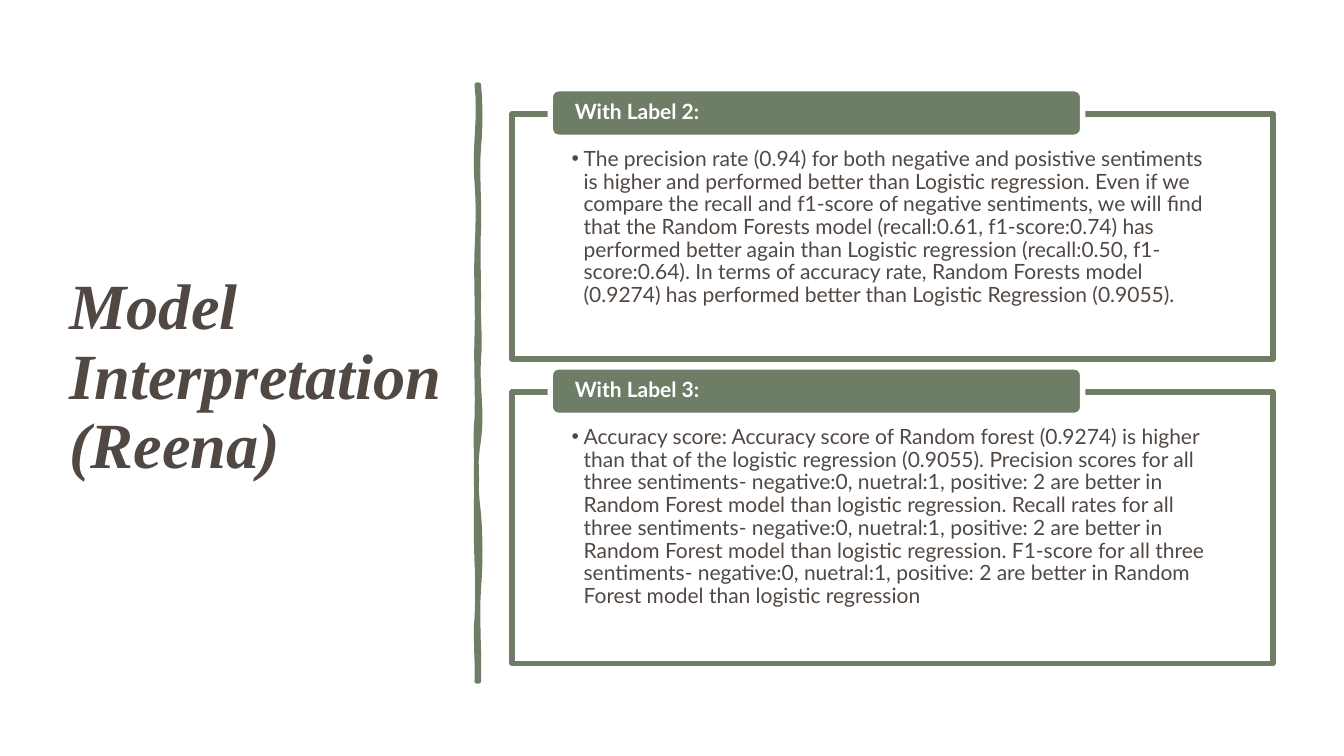
from dataclasses import dataclass
from typing import Iterator

from lxml.etree import SubElement
from pptx import Presentation
from pptx.dml.color import RGBColor
from pptx.enum.shapes import MSO_SHAPE as Shape
from pptx.enum.text import MSO_ANCHOR as Anchor, MSO_AUTO_SIZE as AutoSize, PP_ALIGN as Align
from pptx.oxml.ns import qn
from pptx.util import Pt

GREEN, BROWN, WHITE = "6D7D66", "514843", "FFFFFF"
PANEL_LEFT, PANEL_WIDTH = 365.8, 543.6
LABEL_LEFT, LABEL_WIDTH, LABEL_HEIGHT, LABEL_RISE = 393.1, 380.2, 34.6, 18
BULLET_INDENT = 8.6
BRUSH_TOP, BRUSH_RIGHT, BRUSH_LEFT, CURVE_STEPS = 60.5, 342, 340.6, 8


@dataclass
class Panel:
    label: str
    text: str
    top: float
    height: float


@dataclass
class Bend:
    first: float
    second: float
    end: float


PANELS = [
    Panel(
        "With Label 2:",
        "The precision rate (0.94) for both negative and posistive sentiments is higher and "
        "performed better than Logistic regression. Even if we compare the recall and f1-score "
        "of negative sentiments, we will find that the Random Forests model (recall:0.61, "
        "f1-score:0.74) has performed better again than Logistic regression (recall:0.50, "
        "f1-score:0.64). In terms of accuracy rate, Random Forests model (0.9274) has performed "
        "better than Logistic Regression (0.9055).",
        81.4, 175,
    ),
    Panel(
        "With Label 3:",
        "Accuracy score: Accuracy score of Random forest (0.9274) is higher than that of the "
        "logistic regression (0.9055). Precision scores for all three sentiments- negative:0, "
        "nuetral:1, positive: 2 are better in Random Forest model than logistic regression. "
        "Recall rates for all three sentiments- negative:0, nuetral:1, positive: 2 are better "
        "in Random Forest model than logistic regression. F1-score for all three sentiments- "
        "negative:0, nuetral:1, positive: 2 are better in Random Forest model than logistic "
        "regression",
        280.1, 193.7,
    ),
]

RIGHT_EDGE = [
    Bend(1.4, 1.4, 105), Bend(-1.4, 0.7, 163), Bend(-0.7, 0, 212), Bend(-0.7, 1.4, 256),
    Bend(-1.4, 2.9, 314), Bend(-2.9, -2.2, 367), Bend(1.4, 1.4, 420.5), Bend(-1.4, 0.7, 486.7),
]
LEFT_EDGE = [
    Bend(0.7, -1.4, 441.4), Bend(0.7, 0.7, 401), Bend(-0.7, -0.7, 343.4), Bend(0, -1.4, 298.8),
    Bend(0.7, -0.7, 241.2), Bend(0.7, -0.7, 180), Bend(0.7, 1.4, 130.3), Bend(-2.2, 2.9, 60.5),
]


def color(value: str) -> RGBColor:
    return RGBColor.from_string(value)


def paint(shape, fill: str, line: str, width: float) -> None:
    shape.fill.solid()
    shape.fill.fore_color.rgb = color(fill)
    shape.line.color.rgb = color(line)
    shape.line.width = Pt(width)


def place(shape, left: float, top: float, width: float, height: float) -> None:
    shape.left, shape.top, shape.width, shape.height = map(Pt, (left, top, width, height))


def set_frame(frame, anchor, left: float, top: float, right: float, bottom: float) -> None:
    frame.word_wrap = True
    frame.auto_size = AutoSize.NONE
    frame.vertical_anchor = anchor
    frame.margin_left, frame.margin_top = Pt(left), Pt(top)
    frame.margin_right, frame.margin_bottom = Pt(right), Pt(bottom)


def write(paragraph, text: str, size: float, font: str, ink: str,
          bold: bool = False, italic: bool = False) -> None:
    paragraph.alignment = Align.LEFT
    paragraph.line_spacing = 0.9
    paragraph.space_before = Pt(0)
    run = paragraph.add_run()
    run.text = text
    run.font.size, run.font.name = Pt(size), font
    run.font.bold, run.font.italic = bold, italic
    run.font.color.rgb = color(ink)


def add_bullet(paragraph) -> None:
    properties = paragraph._p.get_or_add_pPr()
    properties.set("marL", str(Pt(BULLET_INDENT)))
    properties.set("indent", str(-Pt(BULLET_INDENT)))
    SubElement(properties, qn("a:buChar")).set("char", "•")


def edge_points(x: float, y: float, bends: list[Bend]) -> Iterator[tuple[int, int]]:
    for bend in bends:
        for step in range(1, CURVE_STEPS + 1):
            t = step / CURVE_STEPS
            bulge = 3 * t * (1 - t) * ((1 - t) * bend.first + t * bend.second)
            yield Pt(x + bulge), Pt(y + (bend.end - y) * t)
        y = bend.end


def draw_brush_line(slide) -> None:
    builder = slide.shapes.build_freeform(Pt(BRUSH_RIGHT), Pt(BRUSH_TOP))
    bottom = RIGHT_EDGE[-1].end
    builder.add_line_segments(edge_points(BRUSH_RIGHT, BRUSH_TOP, RIGHT_EDGE), close=False)
    builder.add_line_segments([(Pt(BRUSH_LEFT), Pt(bottom))], close=False)
    builder.add_line_segments(edge_points(BRUSH_LEFT, bottom, LEFT_EDGE))
    brush = builder.convert_to_shape()
    brush.shadow.inherit = False
    paint(brush, GREEN, GREEN, 3.25)


def draw_title(title) -> None:
    place(title, 49.7, 50.4, 269.3, 439.9)
    set_frame(title.text_frame, Anchor.MIDDLE, 0, 3.6, 0, 3.6)
    write(title.text_frame.paragraphs[0], "Model Interpretation (Reena)", 46,
          "Times New Roman", BROWN, bold=True, italic=True)


def draw_panel(slide, body, panel: Panel) -> None:
    place(body, PANEL_LEFT, panel.top, PANEL_WIDTH, panel.height)
    paint(body, WHITE, GREEN, 3.78)
    set_frame(body.text_frame, Anchor.TOP, 42.5, 24.5, 42.5, 8.6)
    paragraph = body.text_frame.paragraphs[0]
    paragraph.level = 1
    paragraph.line_spacing = 0.9
    paragraph.space_before = Pt(0)
    add_bullet(paragraph)
    write(paragraph, panel.text, 15, "Lato", BROWN)

    label = slide.shapes.add_shape(
        Shape.ROUNDED_RECTANGLE, Pt(LABEL_LEFT), Pt(panel.top - LABEL_RISE),
        Pt(LABEL_WIDTH), Pt(LABEL_HEIGHT))
    label.shadow.inherit = False
    paint(label, GREEN, WHITE, 3.78)
    set_frame(label.text_frame, Anchor.MIDDLE, 15.8, 0, 15.8, 0)
    write(label.text_frame.paragraphs[0], panel.label, 15, "Lato", WHITE, bold=True)


def main() -> None:
    presentation = Presentation()
    presentation.slide_width, presentation.slide_height = Pt(960), Pt(540)
    slide = presentation.slides.add_slide(presentation.slide_layouts.get_by_name("Two Content"))
    title, *bodies = slide.placeholders
    draw_title(title)
    draw_brush_line(slide)
    for body, panel in zip(bodies, PANELS):
        draw_panel(slide, body, panel)
    presentation.save("out.pptx")


if __name__ == "__main__":
    main()
